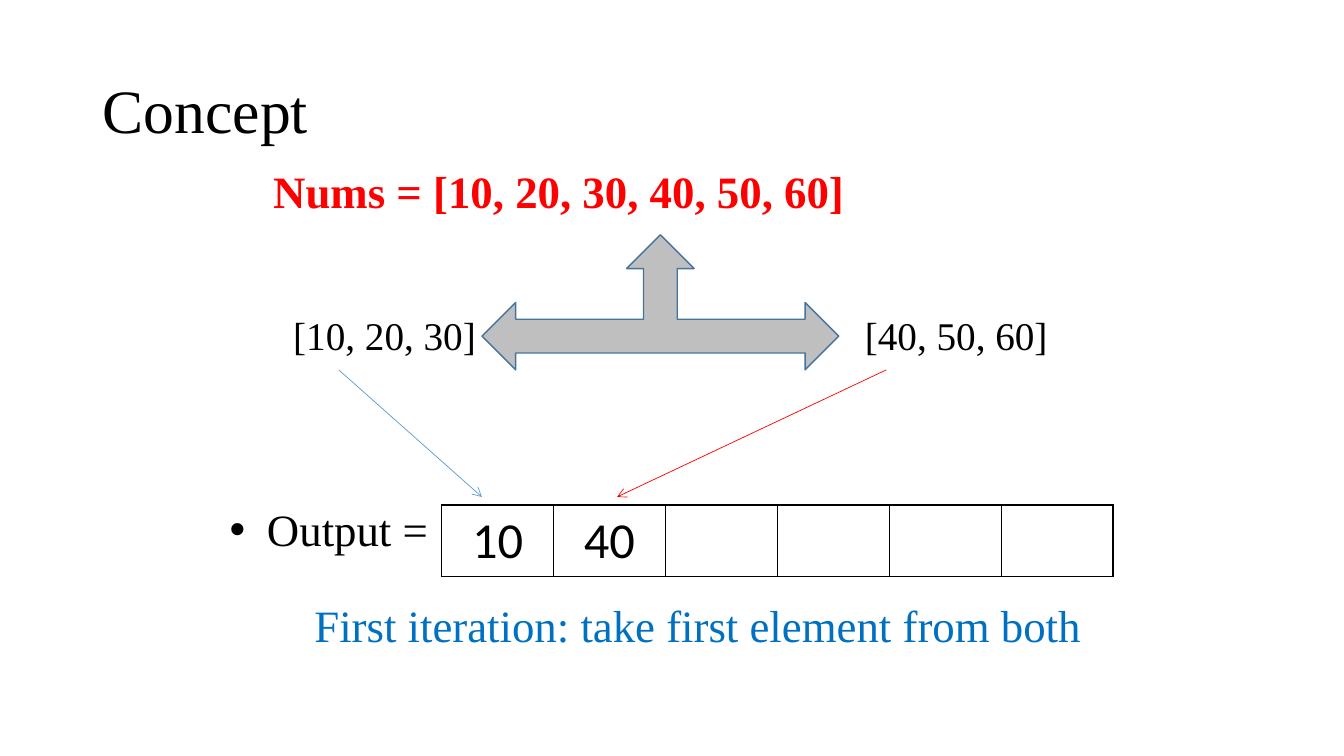
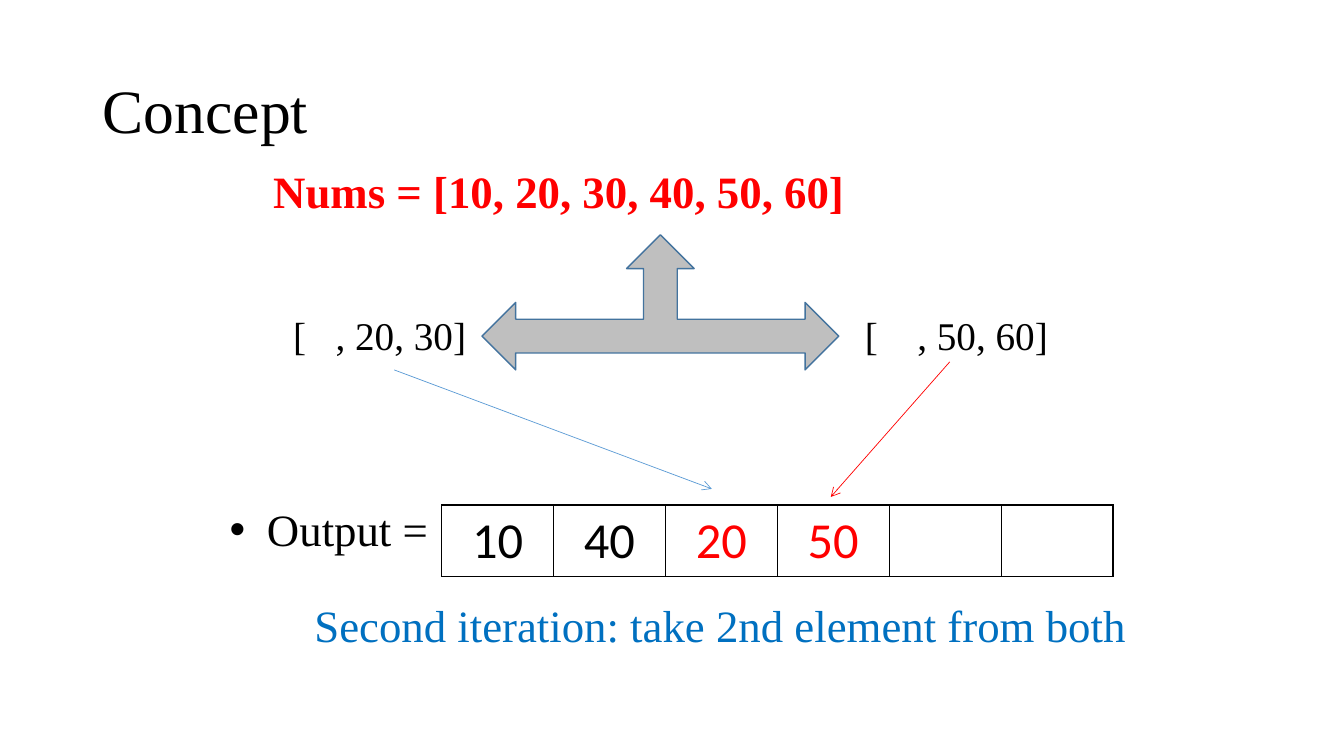
from dataclasses import dataclass

from lxml.etree import SubElement
from pptx import Presentation
from pptx.dml.color import RGBColor
from pptx.enum.shapes import MSO_CONNECTOR, MSO_SHAPE
from pptx.enum.text import MSO_ANCHOR, MSO_AUTO_SIZE, PP_ALIGN
from pptx.oxml.ns import qn
from pptx.util import Inches, Pt


@dataclass(frozen=True)
class Theme:
    """Colours, fonts and type sizes shared by the slides."""
    black: str = "000000"
    red: str = "FF0000"
    caption: str = "0070C0"
    link: str = "5B9BD5"
    arrow_fill: str = "BFBFBF"
    arrow_line: str = "43739E"
    serif: str = "Times New Roman"
    sans: str = "Calibri"
    title: int = 44
    cell: int = 36
    body: int = 32
    half: int = 28


THEME = Theme()
SLOTS = 6
SLOT_WIDTH = 1.11
ITERATIONS = [
    {
        "left": ("[10, 20, 30]", 2.04, None),
        "right": ("[40, 50, 60]", 2.04, None),
        "output": [("10", THEME.black), ("40", THEME.black)],
        "caption": "First iteration: take first element from both",
        "links": [((3.36, 3.67), (4.78, 4.93)), ((8.79, 3.67), (6.12, 4.93))],
    },
    {
        "left": ("[\t, 20, 30]", 1.94, 0.42),
        "right": ("[\t, 50, 60]", 2.04, 0.52),
        "output": [("10", THEME.black), ("40", THEME.black),
                   ("20", THEME.red), ("50", THEME.red)],
        "caption": "Second iteration: take 2nd element from both",
        "links": [((3.91, 3.67), (7.06, 4.85)), ((9.42, 3.59), (8.24, 4.93))],
    },
]


def rgb(colour):
    """Turn a hex string into a colour."""
    return RGBColor.from_string(colour)


def add_run(p, text, size, colour=THEME.black, font=THEME.serif, bold=False):
    """Add one formatted run to a paragraph."""
    r = p.add_run()
    r.text = text
    r.font.name, r.font.size, r.font.bold = font, Pt(size), bold
    r.font.color.rgb = rgb(colour)


def add_title(s, text):
    """Place and format the title placeholder."""
    sp = s.shapes.title
    sp.left, sp.top = Inches(0.92), Inches(0.4)
    sp.width, sp.height = Inches(11.5), Inches(1.45)
    tf = sp.text_frame
    tf.auto_size = MSO_AUTO_SIZE.NONE
    tf.vertical_anchor = MSO_ANCHOR.MIDDLE
    p = tf.paragraphs[0]
    p.alignment, p.line_spacing = PP_ALIGN.LEFT, 0.9
    add_run(p, text, THEME.title)


def add_text(s, left, top, width, height, wrap=True):
    """Add an empty text box and return its text frame."""
    sp = s.shapes.add_textbox(Inches(left), Inches(top), Inches(width), Inches(height))
    tf = sp.text_frame
    tf.word_wrap = wrap
    return tf


def add_half(s, left, text, width, tab):
    """Add one half of the list, with a tab stop where its first number is gone."""
    tf = add_text(s, left, 3.04, width, 0.57, wrap=False)
    tf.auto_size = MSO_AUTO_SIZE.SHAPE_TO_FIT_TEXT
    p = tf.paragraphs[0]
    if tab:
        tabs = SubElement(p._p.get_or_add_pPr(), qn("a:tabLst"))
        SubElement(tabs, qn("a:tab"), pos=str(Inches(tab)), algn="l")
    add_run(p, text, THEME.half)


def add_nums(s):
    """Add the full list above the split arrow."""
    tf = add_text(s, 2.71, 1.62, 9, 0.63)
    tf.margin_left = tf.margin_top = tf.margin_right = tf.margin_bottom = 0
    add_run(tf.paragraphs[0], "Nums = [10, 20, 30, 40, 50, 60]", THEME.body,
            THEME.red, bold=True)


def add_output_label(s):
    """Add the bulleted label of the output row."""
    p = add_text(s, 2.18, 4.93, 9, 0.63).paragraphs[0]
    pPr = p._p.get_or_add_pPr()
    pPr.set("marL", str(Inches(0.37)))
    pPr.set("indent", str(-Inches(0.37)))
    SubElement(pPr, qn("a:buFont"), typeface="Arial")
    SubElement(pPr, qn("a:buChar"), char="•")
    add_run(p, "Output =", THEME.body)


def add_split_arrow(s):
    """Add the three-way arrow between the list and its halves."""
    sp = s.shapes.add_shape(MSO_SHAPE.LEFT_RIGHT_UP_ARROW, Inches(4.78),
                            Inches(2.33), Inches(3.54), Inches(1.34))
    sp.shadow.inherit = False
    sp.fill.solid()
    sp.fill.fore_color.rgb = rgb(THEME.arrow_fill)
    sp.line.color.rgb = rgb(THEME.arrow_line)
    sp.line.width = Pt(1)


def add_link(s, start, end, colour):
    """Add a thin arrow from a number to its output slot."""
    points = [Inches(v) for v in (*start, *end)]
    line = s.shapes.add_connector(MSO_CONNECTOR.STRAIGHT, *points)
    line.line.color.rgb = rgb(colour)
    line.line.width = Pt(0.5)
    spPr = line.element.spPr
    SubElement(spPr.get_or_add_ln(), qn("a:tailEnd"), type="arrow")
    SubElement(spPr, qn("a:effectLst"))


def add_borders(cell):
    """Draw a thin border on all four sides of a cell."""
    tcPr = cell._tc.get_or_add_tcPr()
    for side in ("lnL", "lnR", "lnT", "lnB"):
        ln = SubElement(tcPr, qn(f"a:{side}"), w=str(Pt(1)))
        fill = SubElement(ln, qn("a:solidFill"))
        SubElement(fill, qn("a:srgbClr"), val=THEME.black)


def add_output(s, values):
    """Add the output row, filled from the left."""
    table = s.shapes.add_table(1, SLOTS, Inches(4.38), Inches(5.01),
                               Inches(SLOTS * SLOT_WIDTH), Inches(0.71)).table
    table.first_row = table.horz_banding = False
    for column in table.columns:
        column.width = Inches(SLOT_WIDTH)
    for cell in table.iter_cells():
        add_borders(cell)
        cell.fill.background()
    for cell, (text, colour) in zip(table.iter_cells(), values):
        p = cell.text_frame.paragraphs[0]
        p.alignment = PP_ALIGN.CENTER
        add_run(p, text, THEME.cell, colour, THEME.sans)


def add_iteration(prs, step):
    """Build the slide of one iteration."""
    s = prs.slides.add_slide(prs.slide_layouts[5])
    add_title(s, "Concept")
    add_split_arrow(s)
    add_half(s, 2.81, *step["left"])
    add_half(s, 8.48, *step["right"])
    add_output_label(s)
    add_output(s, step["output"])
    caption = add_text(s, 3.02, 5.88, 9, 0.63)
    add_run(caption.paragraphs[0], step["caption"], THEME.body, THEME.caption)
    for (start, end), colour in zip(step["links"], (THEME.link, THEME.red)):
        add_link(s, start, end, colour)
    add_nums(s)


def main():
    """Build and save the presentation."""
    prs = Presentation()
    prs.slide_width, prs.slide_height = Inches(13.33), Inches(7.5)
    for step in ITERATIONS:
        add_iteration(prs, step)
    prs.save("out.pptx")


if __name__ == "__main__":
    main()
